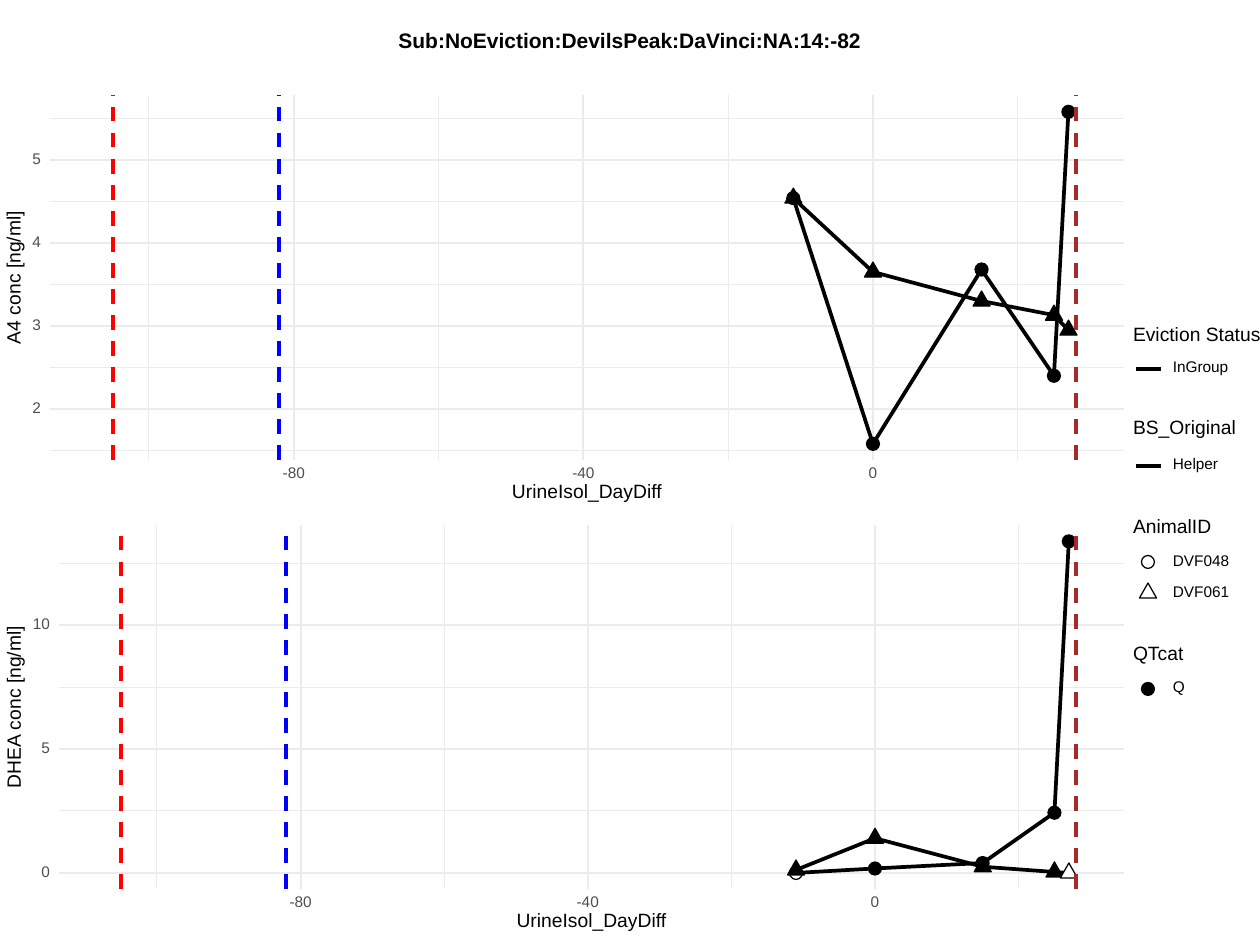
from dataclasses import dataclass

from pptx import Presentation
from pptx import util as u
from pptx.dml.color import RGBColor
from pptx.enum import dml, shapes, text
from pptx.oxml.ns import qn

BLACK = RGBColor(0x00, 0x00, 0x00)
WHITE = RGBColor(0xFF, 0xFF, 0xFF)
GRID = RGBColor(0xEB, 0xEB, 0xEB)
TICK = RGBColor(0x4D, 0x4D, 0x4D)
RED = RGBColor(0xFF, 0x00, 0x00)
BLUE = RGBColor(0x00, 0x00, 0xFF)
BROWN = RGBColor(0xA5, 0x2A, 0x2A)

DAYS = (-11, 0, 15, 25, 27)
DAY_TICKS = (-80, -40, 0)
DAY_MINOR = (-100, -60, -20, 20)
EVENTS = ((-105, RED), (-82, BLUE), (28, BROWN))
CIRCLE = (shapes.MSO_SHAPE.OVAL, 13, 13, 6.5)
TRIANGLE = (shapes.MSO_SHAPE.ISOSCELES_TRIANGLE, 17, 15, 10)
THIN, MEDIUM, THICK, OUTLINE = 0.53, 1.07, 2.13, 0.71
SMALL, LARGE = 8.8, 11


def px(length):
    return u.Emu(round(length * 914400 / 126))


@dataclass
class Panel:
    left: int
    top: int
    right: int
    bottom: int
    day_zero: int
    day_step: float
    value_zero: int
    value_step: float

    def x(self, day):
        return self.day_zero + day * self.day_step

    def y(self, value):
        return self.value_zero - value * self.value_step


class Canvas:
    font = "Arial"

    def __init__(self, slide):
        self.slide = slide

    def style(self, shape, fill, line, weight):
        shape.shadow.inherit = False
        if fill is None:
            shape.fill.background()
        else:
            shape.fill.solid()
            shape.fill.fore_color.rgb = fill
        shape.line.color.rgb = line
        shape.line.width = u.Pt(weight)

    def background(self, width, height):
        sheet = self.slide.shapes.add_shape(
            shapes.MSO_SHAPE.RECTANGLE, 0, 0, px(width), px(height))
        self.style(sheet, WHITE, WHITE, 0.75)

    def line(self, x1, y1, x2, y2, color, weight, dashed=False):
        rule = self.slide.shapes.add_connector(
            shapes.MSO_CONNECTOR.STRAIGHT, px(x1), px(y1), px(x2), px(y2))
        rule.line.color.rgb = color
        rule.line.width = u.Pt(weight)
        if dashed:
            rule.line.dash_style = dml.MSO_LINE.DASH
        properties = rule._element.spPr
        properties.append(properties.makeelement(qn("a:effectLst"), {}))

    def polyline(self, points):
        corners = [(px(x), px(y)) for x, y in points]
        builder = self.slide.shapes.build_freeform(*corners[0])
        builder.add_line_segments(corners[1:], close=False)
        self.style(builder.convert_to_shape(), None, BLACK, THICK)

    def marker(self, kind, x, y, fill=BLACK):
        preset, width, height, rise = kind
        mark = self.slide.shapes.add_shape(
            preset, px(x - width / 2), px(y - rise), px(width), px(height))
        self.style(mark, fill, BLACK, OUTLINE)

    def label(self, words, left, middle, width, size=SMALL, color=BLACK,
              align=text.PP_ALIGN.LEFT, bold=False, rotation=0):
        """Write one line of text, centred vertically on middle."""
        height = 12 if size == SMALL else 16
        box = self.slide.shapes.add_textbox(
            px(left), px(middle - height / 2), px(width), px(height))
        box.rotation = rotation
        frame = box.text_frame
        frame.margin_left = frame.margin_right = 0
        frame.margin_top = frame.margin_bottom = 0
        frame.word_wrap = False
        frame.vertical_anchor = text.MSO_ANCHOR.MIDDLE
        frame.text = words
        paragraph = frame.paragraphs[0]
        paragraph.alignment = align
        paragraph.line_spacing = u.Pt(size)
        font = paragraph.runs[0].font
        font.name, font.size, font.bold = self.font, u.Pt(size), bold
        font.color.rgb = color

    def centered(self, words, center, middle, width, **look):
        self.label(words, center - width / 2, middle, width,
                   align=text.PP_ALIGN.CENTER, **look)

    def grid(self, panel, days, values, weight):
        for value in values:
            y = panel.y(value)
            self.line(panel.left, y, panel.right, y, GRID, weight)
        for day in days:
            x = panel.x(day)
            self.line(x, panel.bottom, x, panel.top, GRID, weight)

    def plot(self, panel, title, title_width, ticks, minor, series):
        self.grid(panel, DAY_MINOR, minor, THIN)
        self.grid(panel, DAY_TICKS, ticks, MEDIUM)
        tracks = [(kind, hollow, [(panel.x(d), panel.y(v)) for d, v in zip(DAYS, values)])
                  for kind, values, hollow in series]
        for _, _, points in tracks:
            self.polyline(points)
        for kind, hollow, points in tracks:
            for index, point in enumerate(points):
                self.marker(kind, *point, fill=WHITE if index == hollow else BLACK)
        for day, color in EVENTS:
            x = panel.x(day)
            self.line(x, panel.bottom, x, panel.top, color, THICK, dashed=True)
        for value in ticks:
            width = 10 * len(str(value))
            self.label(str(value), panel.left - 9 - width, panel.y(value), width,
                       color=TICK, align=text.PP_ALIGN.RIGHT)
        for day in DAY_TICKS:
            self.centered(str(day), panel.x(day), panel.bottom + 14,
                          26 if day else 10, color=TICK)
        self.centered("UrineIsol_DayDiff", (panel.left + panel.right) / 2,
                      panel.bottom + 33, 154, size=LARGE)
        self.centered(title, 15, (panel.top + panel.bottom) / 2, title_width,
                      size=LARGE, rotation=270)


def draw_legend(canvas):
    for heading, middle, width in (("Eviction Status", 336, 130), ("BS_Original", 429, 108),
                                   ("AnimalID", 528, 83), ("QTcat", 655, 56)):
        canvas.label(heading, 1133, middle, width, size=LARGE)
    for entry, middle, width in (("InGroup", 368, 60), ("Helper", 465, 50), ("DVF048", 562, 61),
                                 ("DVF061", 593, 61), ("Q", 688, 15)):
        canvas.label(entry, 1173, middle, width)
    for y in (369, 466):
        canvas.line(1136, y, 1161, y, BLACK, THICK)
    for kind, y, fill in ((CIRCLE, 562, None), (TRIANGLE, 593, None), (CIRCLE, 689, BLACK)):
        canvas.marker(kind, 1148, y, fill)


def main():
    deck = Presentation()
    deck.slide_width, deck.slide_height = px(1260), px(945)
    canvas = Canvas(deck.slides.add_slide(deck.slide_layouts[6]))
    canvas.background(1260, 945)
    canvas.centered("Sub:NoEviction:DevilsPeak:DaVinci:NA:14:-82", 630, 42, 468,
                    size=12, bold=True)
    canvas.plot(
        Panel(50, 95, 1124, 460, 873, 7.24, 575, 83),
        "A4 conc [ng/ml]", 140, (2, 3, 4, 5), (1.5, 2.5, 3.5, 4.5, 5.5),
        ((CIRCLE, (4.54, 1.58, 3.68, 2.4, 5.58), None),
         (TRIANGLE, (4.54, 3.65, 3.3, 3.13, 2.95), None)))
    canvas.plot(
        Panel(59, 525, 1124, 889, 875, 7.18, 873, 24.8),
        "DHEA conc [ng/ml]", 170, (0, 5, 10), (2.5, 7.5, 12.5),
        ((CIRCLE, (0, 0.18, 0.4, 2.43, 13.37), 0),
         (TRIANGLE, (0.12, 1.4, 0.25, 0.04, 0), 4)))
    draw_legend(canvas)
    deck.save("out.pptx")


if __name__ == "__main__":
    main()
